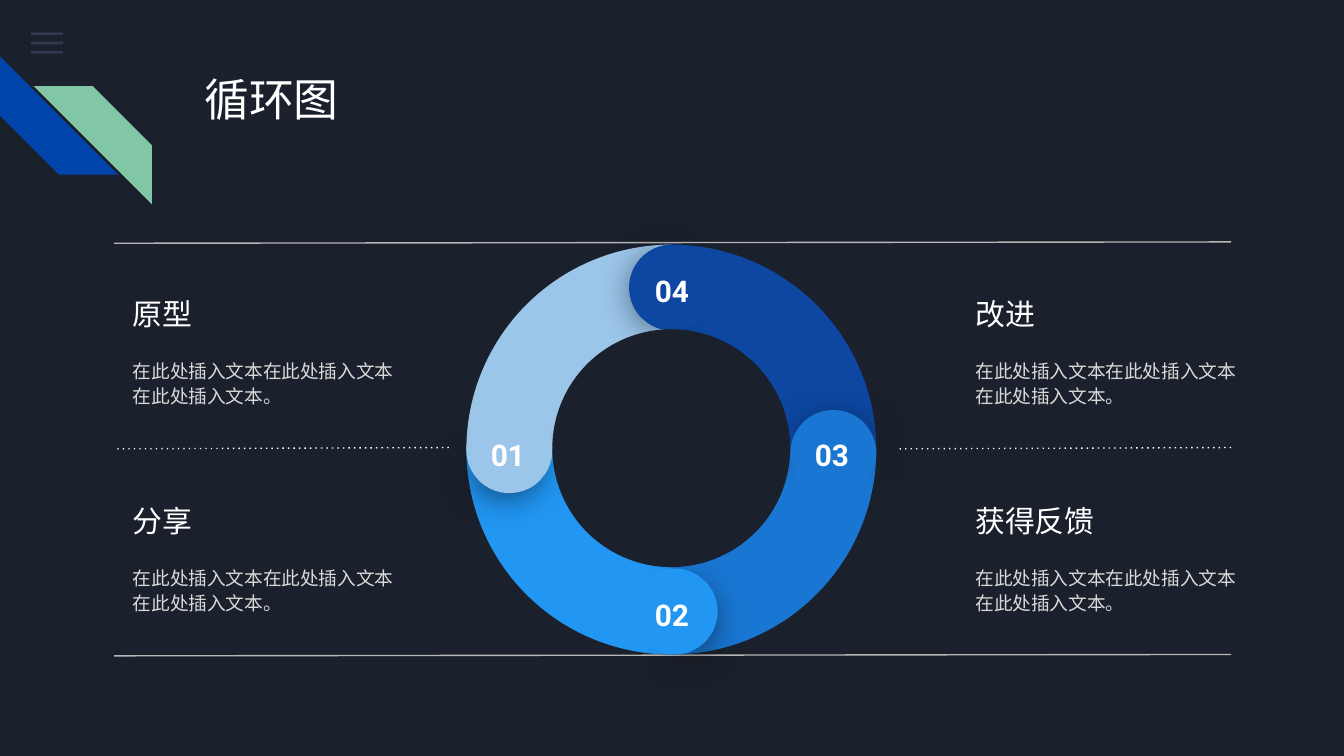
import pptx
import pptx.util
import pptx.dml.color
import pptx.enum.shapes
import pptx.enum.text
import pptx.oxml
import pptx.oxml.ns

Inches = pptx.util.Inches
Pt = pptx.util.Pt
KIND = pptx.enum.shapes.MSO_SHAPE
ALIGN = pptx.enum.text.PP_ALIGN
ANCHOR = pptx.enum.text.MSO_ANCHOR
SPACE = pptx.oxml.ns.nsdecls("a")

COLORS = {
    "back": "1B212C", "menu": "55688B", "stripe": "0145AC", "green": "82C7A5",
    "white": "FFFFFF", "body": "D9D9D9", "rule": "B7B7B7",
    "sky": "9BC5E9", "azure": "2196F3", "blue": "1976D2", "navy": "0D47A1",
}
BODY = "在此处插入文本在此处插入文本在此处插入文本。"
CARDS = [("原型", 0.89, 2.09), ("分享", 0.89, 3.63),
         ("改进", 7.16, 2.09), ("获得反馈", 7.16, 3.63)]
# number, color, corner of the shaded cap, of the full disc, of the label
STEPS = [
    ("01", "sky", (3.48, 3.07), (3.47, 3.03), (3.5, 3.15)),
    ("02", "azure", (4.74, 4.28), (4.7, 4.23), (4.72, 4.34)),
    ("03", "blue", (5.93, 3.07), (5.88, 3.05), (5.91, 3.15)),
    ("04", "navy", (4.7, 1.83), (4.68, 1.82), (4.72, 1.93)),
]
RULES = [(9.16, 0.85, 1.8, "rule", False), (3.34, 0.85, 3.33, "white", True),
         (9.16, 6.67, 3.33, "white", True), (9.16, 0.85, 4.87, "rule", False)]


def rgb(name):
    return pptx.dml.color.RGBColor.from_string(COLORS[name])


def add_shape(slide, kind, box, color, turn=0, adjust=()):
    shape = slide.shapes.add_shape(kind, *map(Inches, box))
    shape.fill.solid()
    shape.fill.fore_color.rgb = rgb(color)
    shape.line.fill.background()
    shape.shadow.inherit = False
    shape.rotation = turn % 360
    for i, value in enumerate(adjust):
        shape.adjustments[i] = value
    return shape


def add_shade(shape):
    """Give the shape a soft shadow below it."""
    effects = shape._element.spPr.find(pptx.oxml.ns.qn("a:effectLst"))
    effects.append(pptx.oxml.parse_xml(
        f'<a:outerShdw {SPACE} blurRad="{Pt(18)}" dist="{Pt(4)}" '
        'dir="5400000" algn="bl" rotWithShape="0">'
        '<a:srgbClr val="000000"><a:alpha val="55000"/></a:srgbClr>'
        '</a:outerShdw>'))


def fade(shape, percent):
    """Set the opacity of a solid fill."""
    color = shape._element.spPr.find(".//" + pptx.oxml.ns.qn("a:srgbClr"))
    color.append(pptx.oxml.parse_xml(
        f'<a:alpha {SPACE} val="{percent * 1000}"/>'))


def set_text(shape, text, size, face, color, align=ALIGN.LEFT,
             anchor=ANCHOR.TOP, bold=False):
    frame = shape.text_frame
    frame.word_wrap = True
    frame.auto_size = pptx.enum.text.MSO_AUTO_SIZE.NONE
    frame.vertical_anchor = anchor
    frame.margin_left = frame.margin_right = Inches(0.1)
    frame.margin_top = frame.margin_bottom = Inches(0.1)
    para = frame.paragraphs[0]
    para.alignment = align
    run = para.add_run()
    run.text = text
    run.font.size = Pt(size)
    run.font.name = face
    run.font.bold = bold
    run.font.color.rgb = rgb(color)
    return para


def add_text(slide, box, *args, **style):
    shape = slide.shapes.add_textbox(*map(Inches, box))
    return set_text(shape, *args, **style)


def add_rule(slide, start, end, top, color, dotted):
    line = slide.shapes.add_connector(
        pptx.enum.shapes.MSO_CONNECTOR.STRAIGHT,
        Inches(start), Inches(top), Inches(end), Inches(top + 0.01))
    line.line.color.rgb = rgb(color)
    line.line.width = Pt(0.75)
    props = line._element.spPr
    if dotted:
        props.find(pptx.oxml.ns.qn("a:ln")).append(
            pptx.oxml.parse_xml(f'<a:prstDash {SPACE} val="dot"/>'))
    props.append(pptx.oxml.parse_xml(f'<a:effectLst {SPACE}/>'))


def add_decor(slide):
    for i in range(3):
        bar = add_shape(slide, KIND.RECTANGLE,
                        (0.23, 0.24 + 0.07 * i, 0.24, 0.02), "menu")
        fade(bar, 36)
    for left, top, color, turn in ((0, 0.42, "stripe", 270),
                                   (0.25, 0.64, "green", 90)):
        add_shape(slide, KIND.DIAGONAL_STRIPE, (left, top, 0.88, 0.88),
                  color, turn, [0.5])


def add_title(slide):
    title = slide.shapes.title
    title.left, title.top = Inches(1.42), Inches(0.43)
    title.width, title.height = Inches(7.7), Inches(1)
    set_text(title, "循环图", 24, "Montserrat", "white")


def add_card(slide, head, left, top):
    add_text(slide, (left, top, 2.03, 0.49), head, 16, "Montserrat", "white",
             anchor=ANCHOR.MIDDLE)
    para = add_text(slide, (left, top + 0.46, 2.18, 0.76), BODY, 10, "Lato",
                    "body")
    para.line_spacing = 1.15
    para.space_after = Pt(16)


def add_ring(slide):
    for i, step in enumerate(STEPS):
        add_shape(slide, KIND.PIE, (3.47, 1.82, 3.05, 3.05), step[1],
                  -90 * i, [107.96, 162.01])
    for i, (number, color, cap, disc, label) in enumerate(STEPS):
        # the third cap is cut a little further round
        cut = [196.87, 77.71] if number == "03" else [189.54, 83.81]
        add_shade(add_shape(slide, KIND.PIE, (*cap, 0.57, 0.57), color,
                            39.5 - 90 * i, cut))
        add_shape(slide, KIND.CHORD, (*disc, 0.64, 0.64), color,
                  4.1 - 90 * i, [25.01, 18.12])
        add_text(slide, (*label, 0.56, 0.29), number, 16, "Roboto", "white",
                 align=ALIGN.CENTER, bold=True)
    add_shape(slide, KIND.OVAL, (4.11, 2.45, 1.77, 1.77), "back")


def main():
    deck = pptx.Presentation()
    deck.slide_width = Inches(10)
    deck.slide_height = Inches(10) * 9 // 16
    slide = deck.slides.add_slide(deck.slide_layouts[5])
    slide.background.fill.solid()
    slide.background.fill.fore_color.rgb = rgb("back")
    add_decor(slide)
    add_title(slide)
    for card in CARDS:
        add_card(slide, *card)
    for rule in RULES:
        add_rule(slide, *rule)
    add_ring(slide)
    deck.save("out.pptx")


if __name__ == "__main__":
    main()
